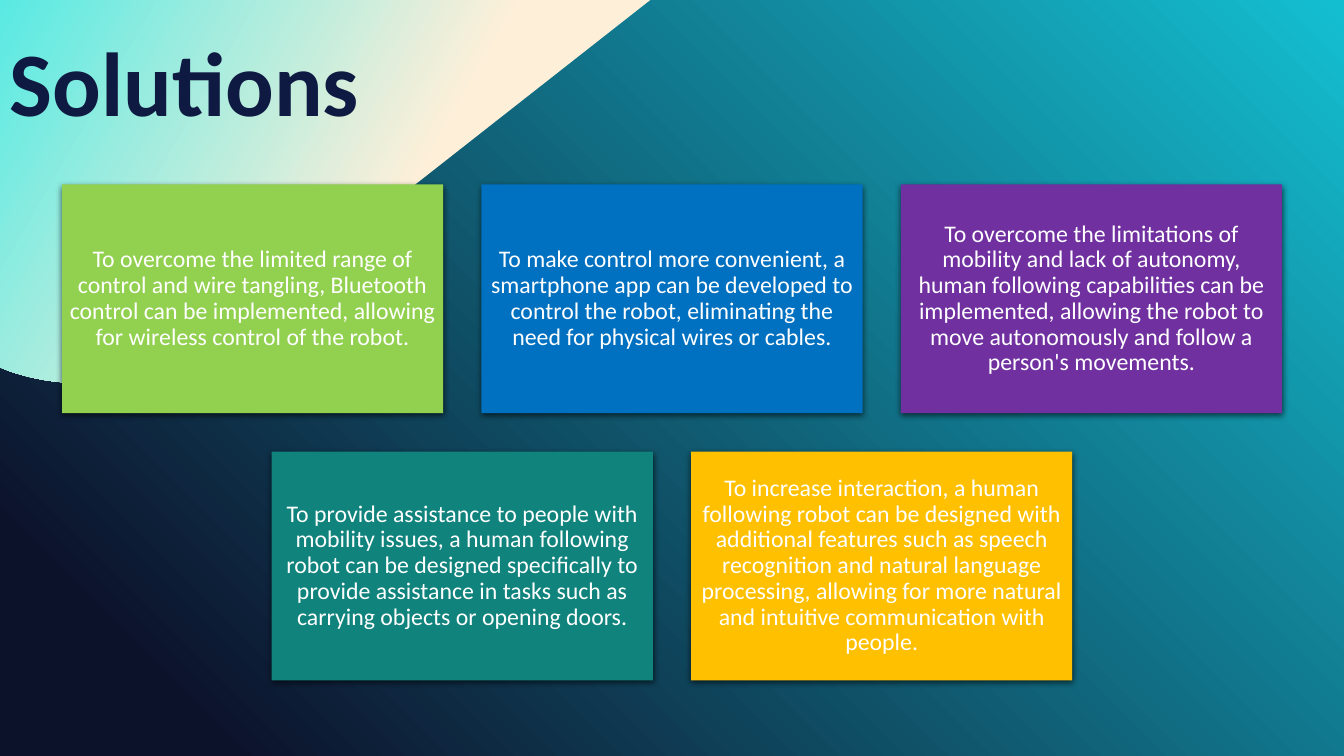
from lxml import etree
from pptx import Presentation, util as u
from pptx.dml.color import RGBColor
from pptx.enum import shapes, text
from pptx.oxml.ns import qn

# Content
WHITE = RGBColor(0xFF, 0xFF, 0xFF)
NAVY = RGBColor(0x0F, 0x1A, 0x42)
MIDNIGHT = RGBColor(0x0D, 0x12, 0x2B)
CYAN = RGBColor(0x14, 0xBE, 0xD1)
CREAM = RGBColor(0xFE, 0xEF, 0xD9)
AQUA = RGBColor(0x58, 0xEA, 0xE3)
GREEN = RGBColor(0x92, 0xD0, 0x50)
BLUE = RGBColor(0x00, 0x70, 0xC0)
PURPLE = RGBColor(0x70, 0x30, 0xA0)
TEAL = RGBColor(0x10, 0x83, 0x7D)
AMBER = RGBColor(0xFF, 0xC0, 0x00)

TITLE = "Solutions"
CARD_ROWS = [
    [
        (GREEN, "To overcome the limited range of control and wire tangling, Bluetooth "
                "control can be implemented, allowing for wireless control of the robot."),
        (BLUE, "To make control more convenient, a smartphone app can be developed to "
               "control the robot, eliminating the need for physical wires or cables."),
        (PURPLE, "To overcome the limitations of mobility and lack of autonomy, human "
                 "following capabilities can be implemented, allowing the robot to move "
                 "autonomously and follow a person's movements."),
    ],
    [
        (TEAL, "To provide assistance to people with mobility issues, a human following "
               "robot can be designed specifically to provide assistance in tasks such as "
               "carrying objects or opening doors."),
        (AMBER, "To increase interaction, a human following robot can be designed with "
                "additional features such as speech recognition and natural language "
                "processing, allowing for more natural and intuitive communication with people."),
    ],
]

# Layout, in inches
SLIDE_W, SLIDE_H = 13.33, 7.5
CARD_W, CARD_H, GAP = 3.78, 2.27, 0.38
CARDS_TOP = 1.83

# Corner outline: two points make a line, six more numbers make a Bézier curve
CORNER_START = (0.79, 3.8)
CORNER = [
    (0.56, 3.8, 0.32, 3.76, 0.09, 3.68), (-0.01, 3.64), (-0.01, 0), (6.45, 0),
    (2.17, 3.36), (2.12, 3.4), (1.76, 3.65, 1.34, 3.79, 0.92, 3.8),
    (0.88, 3.8, 0.84, 3.8, 0.79, 3.8),
]
CURVE_STEPS = 12


def outline_points(start, segments):
    points = [start]
    for segment in segments:
        if len(segment) == 2:
            points.append(segment)
            continue
        x0, y0 = points[-1]
        x1, y1, x2, y2, x3, y3 = segment
        for step in range(1, CURVE_STEPS + 1):
            t = step / CURVE_STEPS
            a, b, c, d = (1 - t) ** 3, 3 * t * (1 - t) ** 2, 3 * t * t * (1 - t), t ** 3
            points.append((a * x0 + b * x1 + c * x2 + d * x3,
                           a * y0 + b * y1 + c * y2 + d * y3))
    return [(u.Inches(x), u.Inches(y)) for x, y in points]


def set_gradient(fill, angle, *stops):
    fill.gradient()
    fill.gradient_angle = angle
    for stop, (position, color) in zip(fill.gradient_stops, stops):
        stop.position = position
        stop.color.rgb = color


def add_soft_shadow(shape):
    shape.shadow.inherit = False
    effects = shape._element.spPr.find(qn("a:effectLst"))
    shadow = etree.SubElement(effects, qn("a:outerShdw"), blurRad=str(u.Pt(4.5)),
                              dist=str(u.Pt(1.5)), dir="5400000", algn="ctr", rotWithShape="0")
    color = etree.SubElement(shadow, qn("a:srgbClr"), val="000000")
    etree.SubElement(color, qn("a:alpha"), val="63000")


def write_text(shape, content, size, color, bold=False, align=text.PP_ALIGN.LEFT,
               anchor=text.MSO_ANCHOR.TOP, inset=(0.1, 0.05)):
    frame = shape.text_frame
    frame.word_wrap = True
    frame.vertical_anchor = anchor
    frame.margin_left = frame.margin_right = u.Inches(inset[0])
    frame.margin_top = frame.margin_bottom = u.Inches(inset[1])
    paragraph = frame.paragraphs[0]
    paragraph.alignment = align
    paragraph.line_spacing = 0.9
    run = paragraph.add_run()
    run.text = content
    run.font.name = "Calibri"
    run.font.size = u.Pt(size)
    run.font.bold = bold
    run.font.color.rgb = color


def main():
    presentation = Presentation()
    presentation.slide_width = u.Inches(SLIDE_W)
    presentation.slide_height = u.Inches(SLIDE_H)
    slide = presentation.slides.add_slide(presentation.slide_layouts[6])

    # Background and light corner
    set_gradient(slide.background.fill, 45, (0.11, MIDNIGHT), (1, CYAN))
    points = outline_points(CORNER_START, CORNER)
    builder = slide.shapes.build_freeform(*points[0])
    builder.add_line_segments(points[1:], close=True)
    corner = builder.convert_to_shape()
    corner.shadow.inherit = False
    corner.line.fill.background()
    set_gradient(corner.fill, 150, (0.4, CREAM), (1, AQUA))

    # Title
    title = slide.shapes.add_textbox(0, u.Inches(0.33), u.Inches(6.46), u.Inches(1.16))
    write_text(title, TITLE, 64.8, NAVY, bold=True)

    # Cards, each row centred on the slide
    for row, cards in enumerate(CARD_ROWS):
        row_width = len(cards) * (CARD_W + GAP) - GAP
        row_left = (SLIDE_W - row_width) / 2
        top = CARDS_TOP + row * (CARD_H + GAP)
        for column, (color, content) in enumerate(cards):
            left = row_left + column * (CARD_W + GAP)
            card = slide.shapes.add_shape(shapes.MSO_SHAPE.RECTANGLE, u.Inches(left),
                                          u.Inches(top), u.Inches(CARD_W), u.Inches(CARD_H))
            card.fill.solid()
            card.fill.fore_color.rgb = color
            card.line.fill.background()
            add_soft_shadow(card)
            write_text(card, content, 17, WHITE, align=text.PP_ALIGN.CENTER,
                       anchor=text.MSO_ANCHOR.MIDDLE, inset=(0.07, 0.07))

    presentation.save("out.pptx")


if __name__ == "__main__":
    main()
